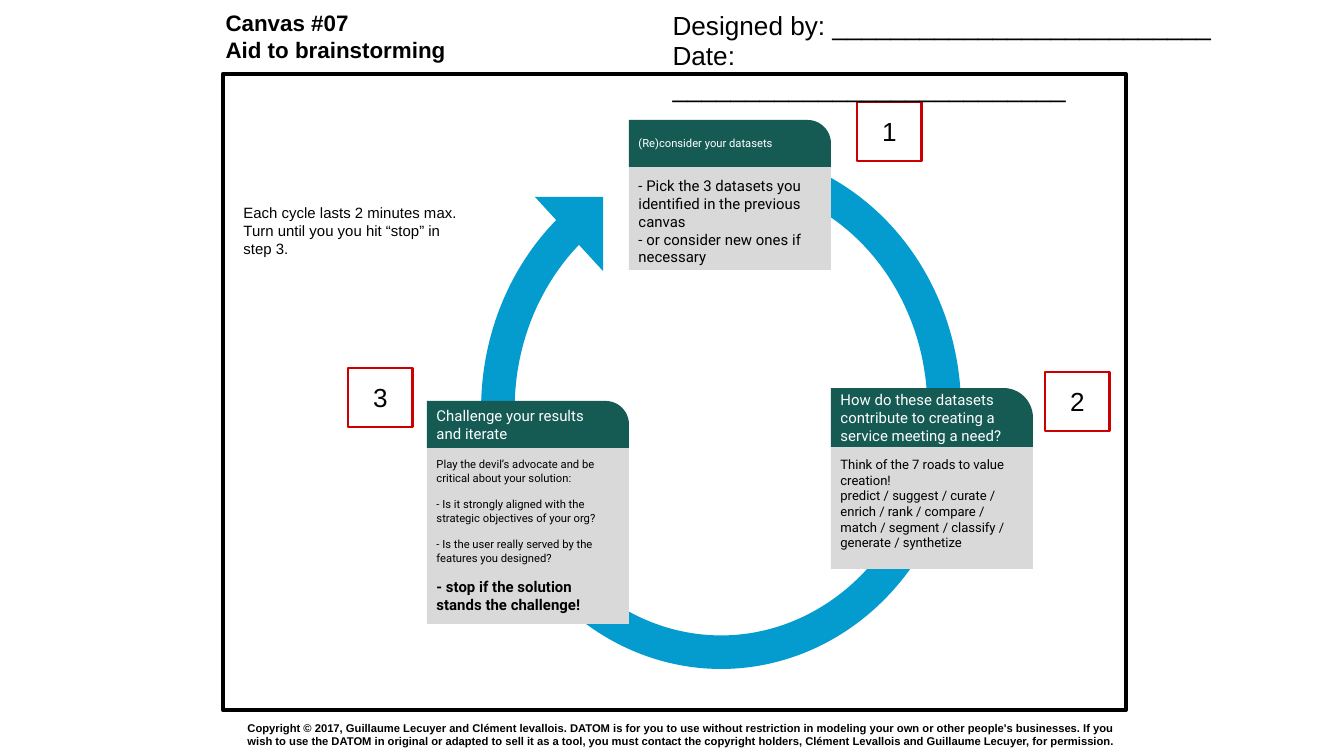
import pptx
import pptx.dml.color
import pptx.enum.shapes
import pptx.enum.text
import pptx.util

PX = 914400 / 134.4
COLORS = {"black": "000000", "white": "FFFFFF", "arrow": "049CCF",
          "header": "155B54", "body": "D9D9D9", "number": "CC0000"}
SHAPES = pptx.enum.shapes.MSO_SHAPE
ANCHOR = pptx.enum.text.MSO_ANCHOR
ALIGN = pptx.enum.text.PP_ALIGN
INSET = round(9.5 * PX)


def add_shape(kind, box, fill=None, line=None, width=1.5):
    shape = slide.shapes.add_shape(kind, *[round(value * PX) for value in box])
    shape.shadow.inherit = False
    if fill:
        shape.fill.solid()
        shape.fill.fore_color.rgb = pptx.dml.color.RGBColor.from_string(COLORS[fill])
    else:
        shape.fill.background()
    if line:
        shape.line.color.rgb = pptx.dml.color.RGBColor.from_string(COLORS[line])
        shape.line.width = pptx.util.Pt(width)
    else:
        shape.line.fill.background()
    return shape


def write(shape, text, size, font="Arial", color="black", bold=False,
          anchor=ANCHOR.TOP, align=ALIGN.LEFT):
    frame = shape.text_frame
    frame.text = text
    frame.word_wrap = True
    frame.auto_size = pptx.enum.text.MSO_AUTO_SIZE.NONE
    frame.vertical_anchor = anchor
    frame.margin_left = frame.margin_right = INSET
    frame.margin_top = frame.margin_bottom = INSET
    for paragraph in frame.paragraphs:
        paragraph.alignment = align
        for run in paragraph.runs:
            run.font.name = font
            run.font.size = pptx.util.Pt(size)
            run.font.bold = bold
            run.font.color.rgb = pptx.dml.color.RGBColor.from_string(COLORS[color])


presentation = pptx.Presentation()
presentation.slide_width = round(1344 * PX)
presentation.slide_height = round(756 * PX)
slide = presentation.slides.add_slide(presentation.slide_layouts[5])

# Title and frame
title = slide.shapes.title
title.left, title.top, title.width, title.height = [
    round(value * PX) for value in (216, 0, 470, 74)]
write(title, "Canvas #07\nAid to brainstorming", 12, bold=True)
add_shape(SHAPES.RECTANGLE, (223, 74, 903, 636), line="black", width=2.25)

# Cycle arrow
arc = add_shape(SHAPES.BLOCK_ARC, (481, 149, 480, 520), fill="arrow")
arc.rotation = 180
for index, value in enumerate((54, 30.13, 0.07)):
    arc.adjustments[index] = value
arrowhead = add_shape(SHAPES.RIGHT_TRIANGLE, (535, 197, 68, 74), fill="arrow")
arrowhead.rotation = 180

# Step cards: left, top, header height, body height, header, size, body, size
CARD_WIDTH = 202
cards = [
    (831, 388, 59, 122,
     "How do these datasets contribute to creating a service meeting a need?", 8,
     "Think of the 7 roads to value creation!\n"
     "predict / suggest / curate / enrich / rank / compare / match / segment / "
     "classify / generate / synthetize", 7),
    (629, 120, 47, 103, "(Re)consider your datasets", 6,
     "- Pick the 3 datasets you identified in the previous canvas\n"
     "- or consider new ones if necessary", 8),
    (427, 401, 47, 176, "Challenge your results and iterate", 8,
     "Play the devil’s advocate and be critical about your solution:\n"
     "- Is it strongly aligned with the strategic objectives of your org?\n"
     "- Is the user really served by the features you designed?\n"
     "- stop if the solution stands the challenge!", 6),
]
for left, top, header_height, body_height, heading, heading_size, text, size in cards:
    body = add_shape(SHAPES.RECTANGLE,
                     (left, top + header_height, CARD_WIDTH, body_height), fill="body")
    write(body, text, size, font="Roboto")
    header = add_shape(SHAPES.ROUND_1_RECTANGLE,
                       (left, top, CARD_WIDTH, header_height), fill="header")
    header.adjustments[0] = 0.5
    write(header, heading, heading_size, font="Roboto", color="white",
          anchor=ANCHOR.MIDDLE)

# The last card spaces its questions and stresses its conclusion
for paragraph in body.text_frame.paragraphs[1:]:
    paragraph.space_before = pptx.util.Pt(7)
conclusion = body.text_frame.paragraphs[-1].runs[0]
conclusion.font.size = pptx.util.Pt(8)
conclusion.font.bold = True

# Step numbers
for number, (left, top) in enumerate([(857, 102), (1045, 372), (348, 368)], start=1):
    label = add_shape(SHAPES.RECTANGLE, (left, top, 65, 59), line="number")
    write(label, str(number), 14, anchor=ANCHOR.MIDDLE, align=ALIGN.CENTER)

# Free text: box, text, size, bold, anchor
texts = [
    ((234, 194, 238, 102),
     "Each cycle lasts 2 minutes max.\vTurn until you you hit “stop” in step 3.",
     8, False, ANCHOR.TOP),
    ((663, 0, 597, 46), "Designed by: " + "_" * 26, 14, False, ANCHOR.TOP),
    ((663, 30, 566, 46), "Date:\v" + "_" * 27, 14, False, ANCHOR.TOP),
    ((238, 719, 903, 31),
     "Copyright © 2017, Guillaume Lecuyer and Clément levallois. DATOM is for you to "
     "use without restriction in modeling your own or other people's businesses. If "
     "you wish to use the DATOM in original or adapted to sell it as a tool, you must "
     "contact the copyright holders, Clément Levallois and Guillaume Lecuyer, for "
     "permission.", 6, True, ANCHOR.MIDDLE),
]
for box, text, size, bold, anchor in texts:
    text_box = slide.shapes.add_textbox(*[round(value * PX) for value in box])
    write(text_box, text, size, bold=bold, anchor=anchor)

presentation.save("out.pptx")
